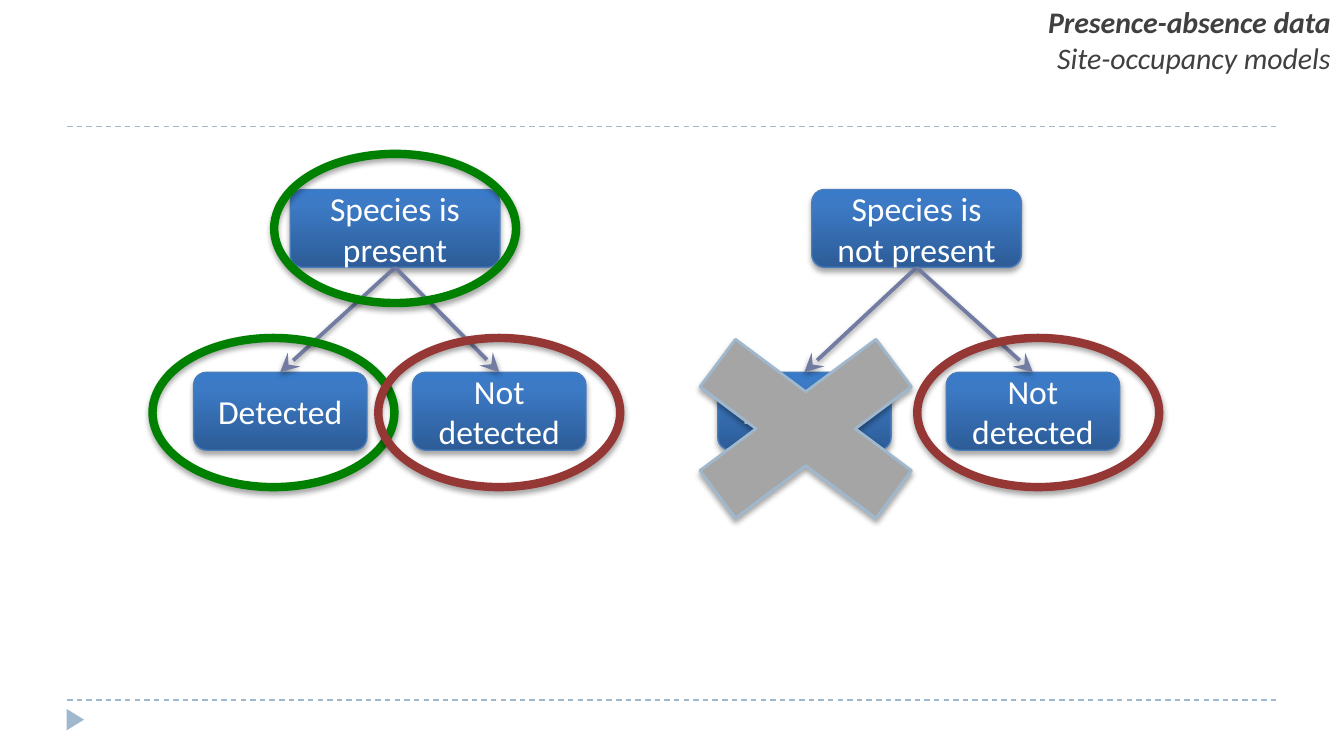
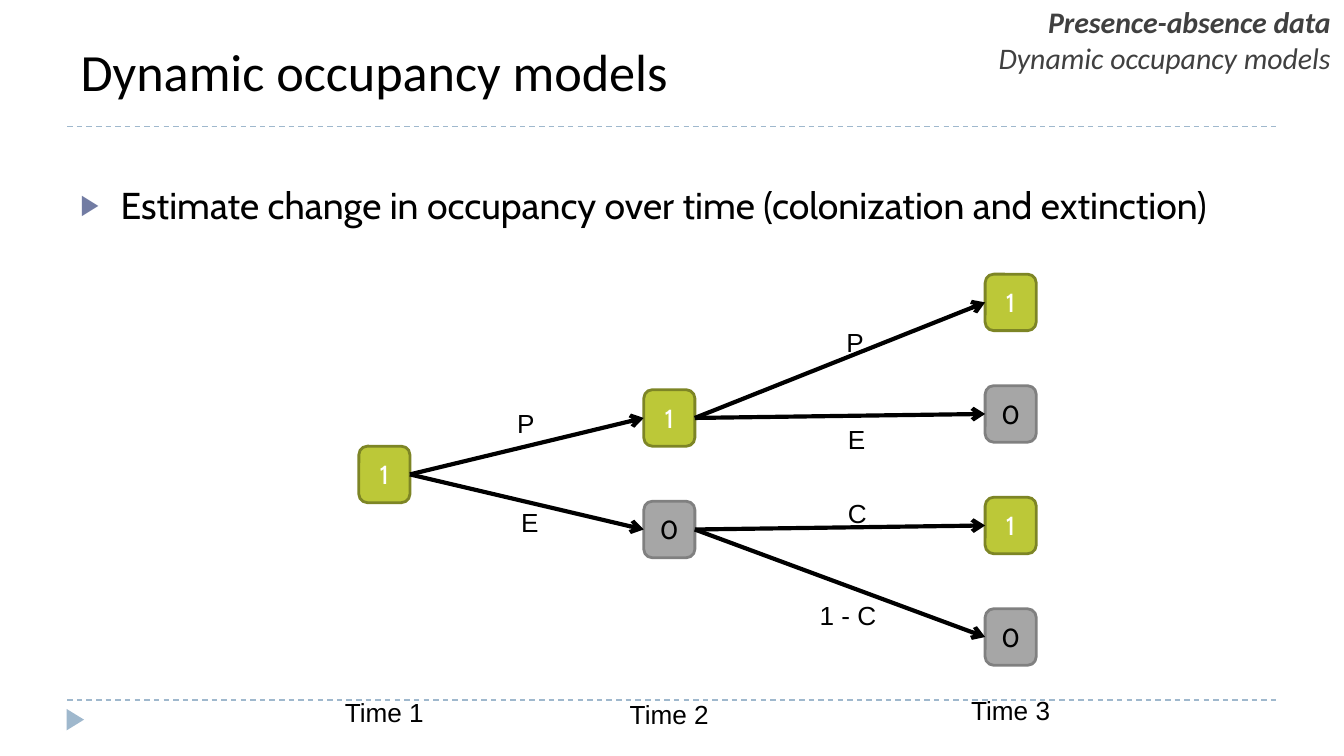
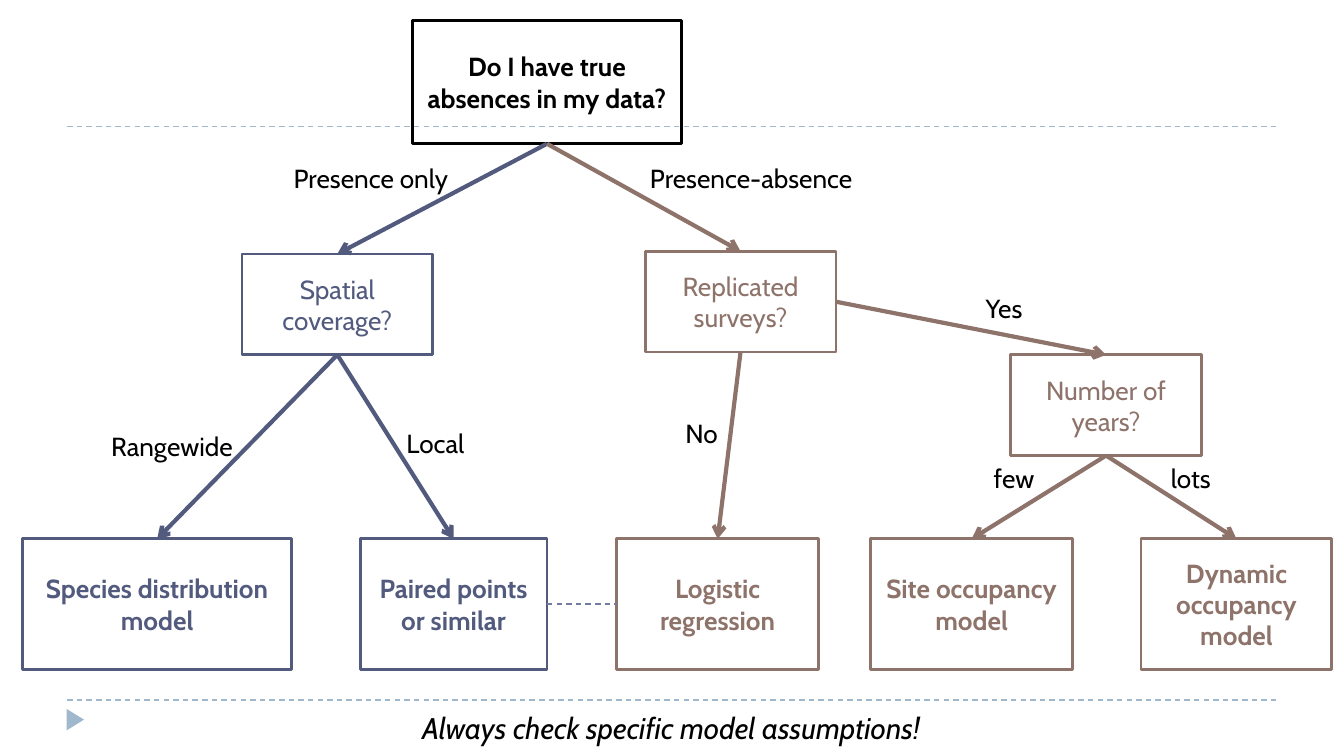
from collections import namedtuple
from copy import deepcopy

from lxml import etree
from pptx import Presentation
from pptx.dml.color import RGBColor
from pptx.enum.dml import MSO_LINE
from pptx.enum.shapes import MSO_CONNECTOR, MSO_SHAPE
from pptx.enum.text import MSO_ANCHOR, MSO_AUTO_SIZE, PP_ALIGN
from pptx.oxml.ns import qn
from pptx.util import Inches, Pt

DASH = MSO_LINE.DASH
STRAIGHT = MSO_CONNECTOR.STRAIGHT
RECTANGLE, ROUNDED = MSO_SHAPE.RECTANGLE, MSO_SHAPE.ROUNDED_RECTANGLE
PROCESS = MSO_SHAPE.FLOWCHART_ALTERNATE_PROCESS
ELLIPSE, CROSS = MSO_SHAPE.OVAL, MSO_SHAPE.MATH_MULTIPLY
TRIANGLE = MSO_SHAPE.ISOSCELES_TRIANGLE
LEFT, CENTER, RIGHT = PP_ALIGN.LEFT, PP_ALIGN.CENTER, PP_ALIGN.RIGHT
MIDDLE = MSO_ANCHOR.MIDDLE
FIT_SHAPE, NO_FIT = MSO_AUTO_SIZE.SHAPE_TO_FIT_TEXT, MSO_AUTO_SIZE.NONE
TOP_SIDE, LEFT_SIDE, BOTTOM_SIDE, RIGHT_SIDE = range(4)
TITLE_ONLY, BLANK = 5, 6

BLACK, WHITE, CHARCOAL = "000000", "FFFFFF", "404040"
PALE_BLUE, SLATE, NAVY, BROWN = "9FB8CD", "727CA3", "525B7E", "8E736A"
GREEN, RED, GRAY = "008000", "953734", "A5A5A5"
BOX_GRADIENT = [(0, "2D5C97"), (0.8, "3C7AC5"), (1, "397BC9")]
STATE_STYLES = {"1": ("BCC838", "7D8525", WHITE), "0": ("A6A6A6", "808080", BLACK)}

# Every Box is measured on a grid of square cells, ten columns to the slide.
COLUMN = Inches(1)
Box = namedtuple("Box", "left top width height")
SLIDE = Box(0, 0, 10, 10 * 9 / 16)


def within(area, left, top, width, height):
    """Return a box whose corner is counted from the corner of the area."""
    return Box(area.left + left, area.top + top, width, height)


def frame(box):
    return [round(length * COLUMN) for length in box]


def color(value):
    return RGBColor.from_string(value)


def set_font(paragraph, name, size, value, bold=False, italic=False):
    font = paragraph.font
    font.name, font.size, font.bold, font.italic = name, Pt(size), bold, italic
    font.color.rgb = color(value)


def add_text(slide, box, text, name="Cabin", size=14, value=BLACK,
             align=CENTER, **emphasis):
    text_box = slide.shapes.add_textbox(*frame(box))
    text_frame = text_box.text_frame
    text_frame.word_wrap = True
    text_frame.auto_size = FIT_SHAPE
    text_frame.text = text
    for paragraph in text_frame.paragraphs:
        paragraph.alignment = align
        set_font(paragraph, name, size, value, **emphasis)
    return text_box


def add_figure(slide, kind, box, fill=None, line=None, width=1.5):
    shape = slide.shapes.add_shape(kind, *frame(box))
    shape.shadow.inherit = False
    if fill:
        shape.fill.solid()
        shape.fill.fore_color.rgb = color(fill)
    else:
        shape.fill.background()
    if line:
        shape.line.color.rgb = color(line)
        shape.line.width = Pt(width)
    else:
        shape.line.fill.background()
    return shape


def write_inside(shape, text, name, size, value, bold=False):
    text_frame = shape.text_frame
    text_frame.word_wrap = True
    text_frame.vertical_anchor = MIDDLE
    paragraph = text_frame.paragraphs[0]
    paragraph.text = text
    paragraph.alignment = CENTER
    set_font(paragraph, name, size, value, bold)


def add_line(slide, value, width, start=(0, 0), end=(0, 0), dashed=False,
             head=None, head_size="med"):
    points = [round(length * COLUMN) for length in (*start, *end)]
    connector = slide.shapes.add_connector(STRAIGHT, *points)
    connector.line.color.rgb = color(value)
    connector.line.width = Pt(width)
    if dashed:
        connector.line.dash_style = DASH
    properties = connector.element.spPr
    if head:
        outline = properties.find(qn("a:ln"))
        etree.SubElement(outline, qn("a:tailEnd"), type=head,
                         w=head_size, len=head_size)
    etree.SubElement(properties, qn("a:effectLst"))
    return connector


def join(slide, parent, child, value, width, sides=(BOTTOM_SIDE, TOP_SIDE), **style):
    connector = add_line(slide, value, width, **style)
    connector.begin_connect(parent, sides[0])
    connector.end_connect(child, sides[1])
    return connector


def add_shadow(shape, opacity=35, distance=1.8):
    effects = shape.element.spPr.find(qn("a:effectLst"))
    shadow = etree.SubElement(
        effects, qn("a:outerShdw"), blurRad=str(Pt(3.1)), dist=str(Pt(distance)),
        dir="5400000", rotWithShape="0")
    black = etree.SubElement(shadow, qn("a:srgbClr"), val=BLACK)
    etree.SubElement(black, qn("a:alpha"), val=str(opacity * 1000))


def fill_gradient(shape, stops):
    shape.fill.gradient()
    shape.fill.gradient_angle = 90
    stop_list = shape.element.spPr.find(qn("a:gradFill")).find(qn("a:gsLst"))
    while len(stop_list) < len(stops):
        stop_list.append(deepcopy(stop_list[0]))
    for stop, (position, value) in zip(shape.fill.gradient_stops, stops):
        stop.position = position
        stop.color.rgb = color(value)


def decorate_master(master, slide):
    """Draw the rules and the corner mark on a slide and move them to the master."""
    marks = [add_line(slide, PALE_BLUE, 0.75, (0.5, row), (9.5, row), dashed=True)
             for row in (5.21, 0.94)]
    triangle = add_figure(slide, TRIANGLE, Box(0.48, 5.29, 0.16, 0.13), PALE_BLUE)
    triangle.rotation = 90
    for number, mark in enumerate(marks + [triangle], start=101):
        mark.element.xpath(".//p:cNvPr")[0].set("id", str(number))
        master.shapes.element.append(mark.element)


def add_topic(slide, subtopic):
    topic = add_text(slide, Box(6.69, -0.02, 3.31, 0.64),
                     f"Presence-absence data\n{subtopic}",
                     "Calibri", 16, CHARCOAL, RIGHT, italic=True)
    topic.text_frame.paragraphs[0].font.bold = True


def add_title(slide, box, text):
    title = slide.shapes.title
    title.left, title.top, title.width, title.height = frame(box)
    title.text_frame.text = text
    title.text_frame.auto_size = NO_FIT
    title.text_frame.vertical_anchor = MIDDLE
    paragraph = title.text_frame.paragraphs[0]
    paragraph.alignment = LEFT
    set_font(paragraph, "Calibri", 28, BLACK)


def add_bullet(slide, box, text):
    bullet = add_text(slide, box, text, size=20, align=LEFT)
    bullet.text_frame.auto_size = NO_FIT
    properties = bullet.text_frame.paragraphs[0]._p.get_or_add_pPr()
    properties.set("marL", str(Inches(0.3)))
    properties.set("indent", str(Inches(-0.38)))
    marks = [etree.Element(qn("a:buClr")),
             etree.Element(qn("a:buSzPct"), val="76000"),
             etree.Element(qn("a:buFont"), typeface="Arial"),
             etree.Element(qn("a:buChar"), char="▶")]
    etree.SubElement(marks[0], qn("a:srgbClr"), val=SLATE)
    for position, mark in enumerate(marks):
        properties.insert(position, mark)


def draw_detection_tree(slide, area, root_text, root_left):
    """Draw a species state over its two survey outcomes; return the three boxes."""
    height, leaf_width = 0.58, 1.29
    leaf_top = area.height - height
    places = [(root_text, root_left, 0, 1.56),
              ("Not detected", area.width - leaf_width, leaf_top, leaf_width),
              ("Detected", 0, leaf_top, leaf_width)]
    boxes = []
    for text, left, top, width in places:
        box = add_figure(slide, PROCESS, within(area, left, top, width, height),
                         line="4A7DBA", width=0.75)
        fill_gradient(box, BOX_GRADIENT)
        add_shadow(box)
        write_inside(box, text, "Calibri", 18, WHITE)
        boxes.append(box)
    root, missed, detected = boxes
    for leaf in (detected, missed):
        arrow = join(slide, root, leaf, SLATE, 2, head="stealth", head_size="lg")
        add_shadow(arrow, 38, 1.6)
    return root, detected, missed


def mark_over(slide, target, kind, size, shift=(0, 0), **style):
    """Draw a mark around the centre of the target, moved by the shift."""
    width, height = size
    center_x = (target.left + target.width / 2) / COLUMN + shift[0]
    center_y = (target.top + target.height / 2) / COLUMN + shift[1]
    box = Box(center_x - width / 2, center_y - height / 2, width, height)
    mark = add_figure(slide, kind, box, **style)
    add_shadow(mark)
    return mark


def build_site_occupancy(slide):
    present, detected, missed = draw_detection_tree(
        slide, Box(1.44, 1.41, 2.92, 1.94), "Species is present", 0.72)
    _, impossible, truly_absent = draw_detection_tree(
        slide, Box(5.34, 1.41, 2.99, 1.94), "Species is not present", 0.7)
    cross = mark_over(slide, impossible, CROSS, (2.52, 1.88), (0.01, 0.13),
                      fill=GRAY, line=PALE_BLUE)
    cross.adjustments[0] = 0.235
    rings = [(detected, GREEN, (-0.05, 0.01)), (present, GREEN, (0, 0)),
             (missed, RED, (0, 0.01)), (truly_absent, RED, (0.04, 0.01))]
    for target, value, shift in rings:
        mark_over(slide, target, ELLIPSE, (1.8, 1.11), shift, line=value, width=4.5)
    add_topic(slide, "Site-occupancy models")


def draw_state_tree(slide, area):
    """Draw the occupied (1) and empty (0) states, which double at each time."""
    width, height, step = 0.38, 0.42, 0.83
    stages = [(0.32, 1.29, 3.1), (2.44, 0.87, 3.12), (4.98, 0.01, 3.09)]
    parents = []
    for number, (left, top, label_top) in enumerate(stages):
        nodes = []
        for index in range(2 ** number):
            state = "0" if index % 2 else "1"
            fill, line, value = STATE_STYLES[state]
            node = add_figure(
                slide, ROUNDED,
                within(area, left, top + index * step, width, height), fill, line)
            write_inside(node, state, "Cabin", 14, value)
            if parents:
                join(slide, parents[index // 2], node, BLACK, 2.25,
                     (RIGHT_SIDE, LEFT_SIDE), head="arrow")
            nodes.append(node)
        add_text(slide, within(area, left + width / 2 - 0.5, label_top, 1, 0.34),
                 f"Time {number + 1}", "Arial")
        parents = nodes

    chances = [("P", 1.4, 0.95, 0.33), ("E", 1.43, 1.69, 0.33),
               ("P", 3.85, 0.35, 0.33), ("E", 3.86, 1.07, 0.33),
               ("C", 3.86, 1.62, 0.33), ("1 - C", 3.65, 2.38, 0.73)]
    for text, left, top, label_width in chances:
        add_text(slide, within(area, left, top, label_width, 0.34), text,
                 "Arial", align=LEFT)


def build_dynamic_occupancy(slide):
    add_title(slide, Box(0.5, 0.12, 9, 0.81), "Dynamic occupancy models")
    add_bullet(slide, Box(0.5, 1.31, 9, 0.5),
               "Estimate change in occupancy over time (colonization and extinction)")
    add_topic(slide, "Dynamic occupancy models")
    draw_state_tree(slide, Box(2.35, 2.03, 5.69, 3.43))


def draw_decision_tree(slide, area):
    model_top, model_height = 3.86, 0.97
    question_width, question_height = 1.42, 0.75
    boxes = {}

    def add_choice(key, text, left, top, width, height, value, bold):
        box = add_figure(slide, RECTANGLE, within(area, left, top, width, height),
                         line=value)
        write_inside(box, text, "Cabin", 14, value, bold)
        boxes[key] = box

    add_choice("start", "Do I have true absences in my data?",
               2.9, 0, 2, 0.92, BLACK, True)
    questions = [("coverage", "Spatial coverage?", 1.63, 1.74, NAVY),
                 ("surveys", "Replicated surveys?", 4.63, 1.72, BROWN),
                 ("years", "Number of years?", 7.35, 2.49, BROWN)]
    for key, text, left, top, value in questions:
        add_choice(key, text, left, top, question_width, question_height, value, False)
    models = [("distribution", "Species distribution model", 0, 2, NAVY),
              ("paired", "Paired points or similar", 2.51, 1.39, NAVY),
              ("logistic", "Logistic regression", 4.42, 1.5, BROWN),
              ("site", "Site occupancy model", 6.31, 1.5, BROWN),
              ("dynamic", "Dynamic occupancy model", 8.32, 1.42, BROWN)]
    for key, text, left, width, value in models:
        add_choice(key, text, left, model_top, width, model_height, value, True)

    answers = [
        ("start", "coverage", NAVY, "Presence only", 1.85, 1.01, 1.48),
        ("start", "surveys", BROWN, "Presence-absence", 4.43, 1.01, 1.98),
        ("coverage", "distribution", NAVY, "Rangewide", 0.37, 3, 1.48),
        ("coverage", "paired", NAVY, "Local", 2.58, 2.98, 0.98),
        ("surveys", "logistic", BROWN, "No", 4.06, 2.91, 1.98),
        ("surveys", "years", BROWN, "Yes", 6.31, 1.98, 1.98),
        ("years", "site", BROWN, "few", 7.07, 3.24, 0.61),
        ("years", "dynamic", BROWN, "lots", 8.44, 3.24, 0.5),
    ]
    for parent, child, value, text, left, top, width in answers:
        start_side = RIGHT_SIDE if child == "years" else BOTTOM_SIDE
        join(slide, boxes[parent], boxes[child], value, 2.25,
             (start_side, TOP_SIDE), head="arrow")
        add_text(slide, within(area, left, top, width, 0.34), text)
    join(slide, boxes["paired"], boxes["logistic"], SLATE, 0.75,
         (RIGHT_SIDE, LEFT_SIDE), dashed=True)


def build_model_choice(slide):
    draw_decision_tree(slide, Box(0.17, 0.15, 9.74, 4.83))
    add_text(slide, Box(1.83, 5.23, 6.33, 0.37),
             "Always check specific model assumptions!", size=16, italic=True)


def main():
    presentation = Presentation()
    presentation.slide_width, presentation.slide_height = frame(SLIDE)[2:]
    builders = [(BLANK, build_site_occupancy),
                (TITLE_ONLY, build_dynamic_occupancy),
                (BLANK, build_model_choice)]
    for number, (layout, build) in enumerate(builders):
        slide = presentation.slides.add_slide(presentation.slide_layouts[layout])
        if number == 0:
            decorate_master(presentation.slide_master, slide)
        build(slide)
    presentation.save("out.pptx")


if __name__ == "__main__":
    main()
